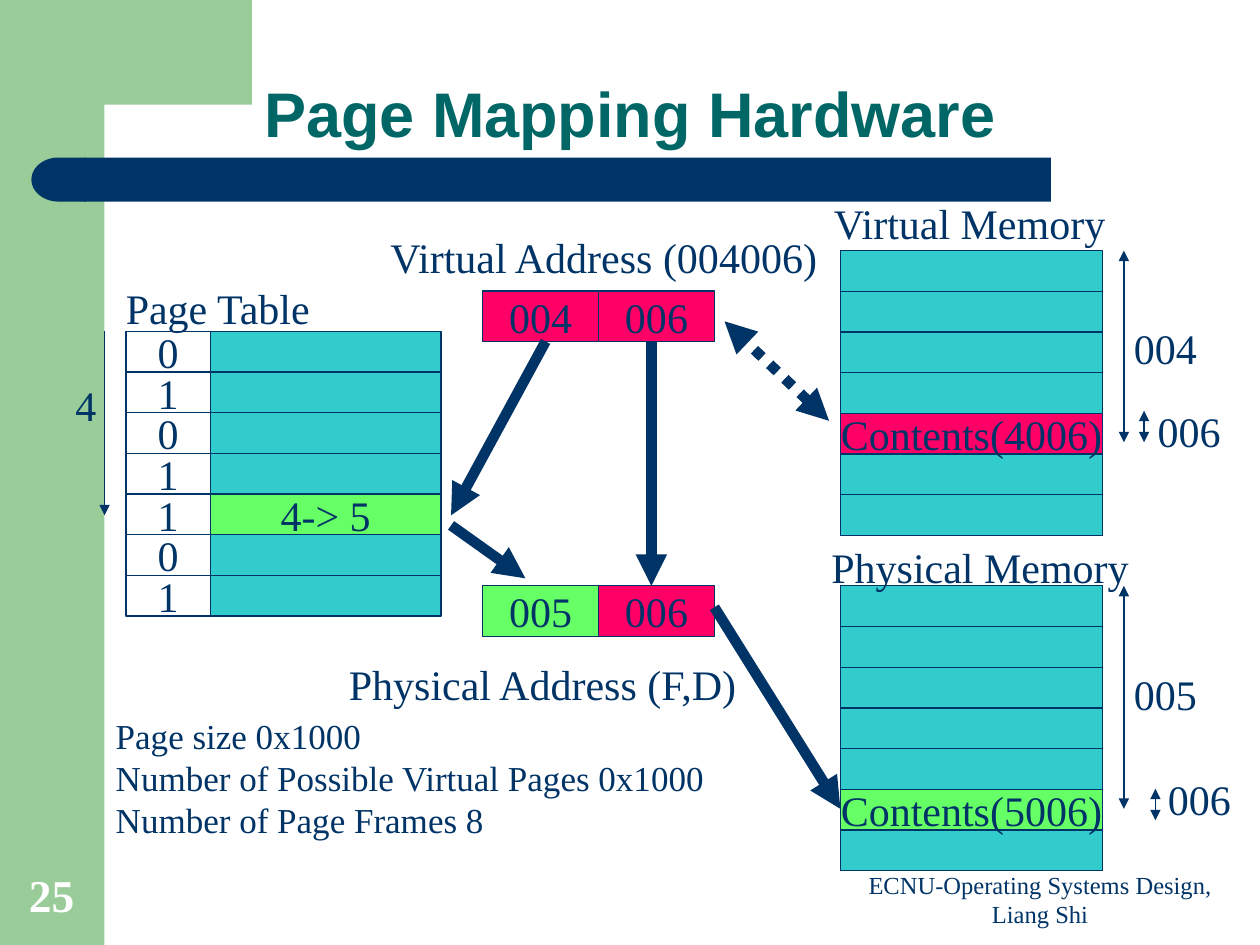
from lxml import etree
from pptx import Presentation
from pptx.dml.color import RGBColor
from pptx.enum.dml import MSO_LINE
from pptx.enum.shapes import MSO_CONNECTOR, MSO_SHAPE
from pptx.enum.text import MSO_ANCHOR, PP_ALIGN
from pptx.oxml.ns import qn
from pptx.util import Inches, Pt

RECT = MSO_SHAPE.RECTANGLE
DELAY = MSO_SHAPE.FLOWCHART_DELAY
STRAIGHT = MSO_CONNECTOR.STRAIGHT
DOTTED = MSO_LINE.ROUND_DOT
LEFT, CENTER = PP_ALIGN.LEFT, PP_ALIGN.CENTER
TOP, MIDDLE, BOTTOM = MSO_ANCHOR.TOP, MSO_ANCHOR.MIDDLE, MSO_ANCHOR.BOTTOM

COLORS = {
    "navy": "003366", "teal": "006666", "sage": "99CC99", "cyan": "33CCCC",
    "pink": "FF0066", "lime": "66FF66", "white": "FFFFFF",
}
SERIF, SANS = "Times New Roman", "Arial"
ROWS = 7
ROW_H = 2.26 / ROWS


def rgb(name):
    return RGBColor.from_string(COLORS[name])


def write(sp, lines, size=24, color="navy", bold=False, font=SERIF,
          align=LEFT, anchor=TOP, wrap=False):
    tf = sp.text_frame
    tf.word_wrap = wrap
    tf.vertical_anchor = anchor
    tf.text = "\n".join(lines)
    for p in tf.paragraphs:
        p.alignment = align
        p.font.name, p.font.size, p.font.bold = font, Pt(size), bold
        p.font.color.rgb = rgb(color)


def add_label(slide, box, *lines, **style):
    write(slide.shapes.add_textbox(*map(Inches, box)), lines, **style)


def paint(sp, fill):
    sp.shadow.inherit = False
    sp.fill.solid()
    sp.fill.fore_color.rgb = rgb(fill)
    sp.line.fill.background()


def add_block(slide, box, fill, kind=RECT):
    sp = slide.shapes.add_shape(kind, *map(Inches, box))
    paint(sp, fill)
    return sp


def add_cell(slide, box, fill, text=None):
    sp = add_block(slide, box, fill)
    sp.line.color.rgb = rgb("navy")
    sp.line.width = Pt(0.75)
    if text:
        write(sp, [text], align=CENTER, anchor=MIDDLE)


def add_arrow(slide, start, end, width=0.75, double=False, dash=None):
    c = slide.shapes.add_connector(STRAIGHT, *map(Inches, start + end))
    c.line.color.rgb = rgb("navy")
    c.line.width = Pt(width)
    if dash:
        c.line.dash_style = dash
    sp_pr = c.element.spPr
    ln = sp_pr.find(qn("a:ln"))
    for tag in ["a:headEnd", "a:tailEnd"] if double else ["a:tailEnd"]:
        etree.SubElement(ln, qn(tag), type="triangle")
    etree.SubElement(sp_pr, qn("a:effectLst"))


def add_frame(slide):
    """Green side band with its corner, and the navy title bar."""
    add_block(slide, (0, 0, 0.83, 7.5), "sage")
    corner = [(2, 0), (2, 0.83), (0.83, 0.83), (0.77, 0.85), (0.71, 0.92),
              (0.68, 1.04), (0.67, 1.28), (0.5, 1.28), (0.5, 0)]
    points = [(Inches(x), Inches(y)) for x, y in corner]
    builder = slide.shapes.build_freeform(*points[0])
    builder.add_line_segments(points[1:], close=True)
    paint(builder.convert_to_shape(), "sage")
    add_block(slide, (0.67, 1.25, 7.67, 0.35), "navy")
    cap = add_block(slide, (0.25, 1.25, 0.43, 0.35), "navy", DELAY)
    cap.element.spPr.find(qn("a:xfrm")).set("flipH", "1")


def add_title(slide, box, text):
    title = slide.shapes.title
    title.left, title.top, title.width, title.height = map(Inches, box)
    write(title, [text], size=36, color="teal", bold=True, font=SANS,
          align=CENTER, anchor=BOTTOM, wrap=True)
    title.text_frame.paragraphs[0].line_spacing = 0.9


def add_rows(slide, left, top, width, marked, fill, text):
    """Stack of equal rows, one of them highlighted."""
    for row in range(ROWS):
        box = (left, top + row * ROW_H, width, ROW_H)
        if row != marked:
            add_cell(slide, box, "cyan")
    add_cell(slide, (left, top + marked * ROW_H, width, ROW_H), fill, text)


def add_page_table(slide, left, top):
    add_rows(slide, left + 0.67, top, 1.83, 4, "lime", "4-> 5")
    for row, bit in enumerate("0101101"):
        add_cell(slide, (left, top + row * ROW_H, 0.67, ROW_H), "white", bit)
    add_label(slide, (left - 0.1, top - 0.44, 1.69, 0.5), "Page Table")
    add_arrow(slide, (left - 0.17, top), (left - 0.17, top + 1.46))
    add_label(slide, (left - 0.5, top + 0.33, 0.36, 0.5), "4")


def add_address(slide, left, top, *fields):
    for i, (text, fill) in enumerate(fields):
        add_cell(slide, (left + i * 0.92, top, 0.92, 0.4), fill, text)


def add_memory(slide, left, top, marked, fill, text):
    add_rows(slide, left, top, 2.08, marked, fill, text)


def add_span(slide, x, top, bottom, label_box, text):
    add_arrow(slide, (x, top), (x, bottom), double=True)
    add_label(slide, label_box, text)


def add_mapping_arrows(slide):
    add_arrow(slide, (6.58, 3.34), (5.75, 2.55), 6, double=True, dash=DOTTED)
    for start, end in [((5.17, 2.71), (5.17, 4.65)),
                       ((4.33, 2.71), (3.58, 4.09)),
                       ((3.58, 4.17), (4.17, 4.59)),
                       ((5.67, 4.82), (6.67, 6.42))]:
        add_arrow(slide, start, end, 6)


def add_footer(slide):
    add_label(slide, (6.67, 6.9, 3.17, 0.52),
              "ECNU-Operating Systems Design, Liang Shi",
              size=14, align=CENTER, anchor=BOTTOM, wrap=True)
    add_label(slide, (0, 6.83, 0.82, 0.53), "25", size=26, color="white",
              bold=True, align=CENTER, anchor=BOTTOM, wrap=True)


def main():
    prs = Presentation()
    prs.slide_width, prs.slide_height = Inches(10), Inches(7.5)
    slide = prs.slides.add_slide(prs.slide_layouts[5])
    add_frame(slide)
    add_title(slide, (0.75, 0.5, 8.5, 0.75), "Page Mapping Hardware")

    add_memory(slide, 6.67, 1.99, 4, "pink", "Contents(4006)")
    add_label(slide, (6.52, 1.52, 2.37, 0.5), "Virtual Memory")
    add_span(slide, 8.92, 1.99, 3.51, (8.9, 2.51, 0.7, 0.5), "004")
    add_span(slide, 9.08, 3.26, 3.51, (9.09, 3.17, 0.7, 0.5), "006")

    add_memory(slide, 6.67, 4.65, 5, "lime", "Contents(5006)")
    add_label(slide, (6.5, 4.25, 2.56, 0.5), "Physical Memory")
    add_span(slide, 8.92, 4.65, 6.42, (8.9, 5.26, 0.7, 0.5), "005")
    add_span(slide, 9.17, 6.26, 6.51, (9.17, 6.09, 0.7, 0.5), "006")

    add_address(slide, 3.83, 2.31, ("004", "pink"), ("006", "pink"))
    add_label(slide, (3, 1.79, 3.62, 0.5), "Virtual Address (004006)")
    add_address(slide, 3.83, 4.65, ("005", "lime"), ("006", "pink"))
    add_label(slide, (2.67, 5.18, 3.32, 0.5), "Physical Address (F,D)")

    add_page_table(slide, 1, 2.63)
    add_mapping_arrows(slide)
    add_label(slide, (0.82, 5.62, 5.68, 1.1), "Page size 0x1000",
              "Number of Possible Virtual Pages 0x1000",
              "Number of Page Frames 8", size=20, wrap=True)
    add_footer(slide)
    prs.save("out.pptx")


if __name__ == "__main__":
    main()
